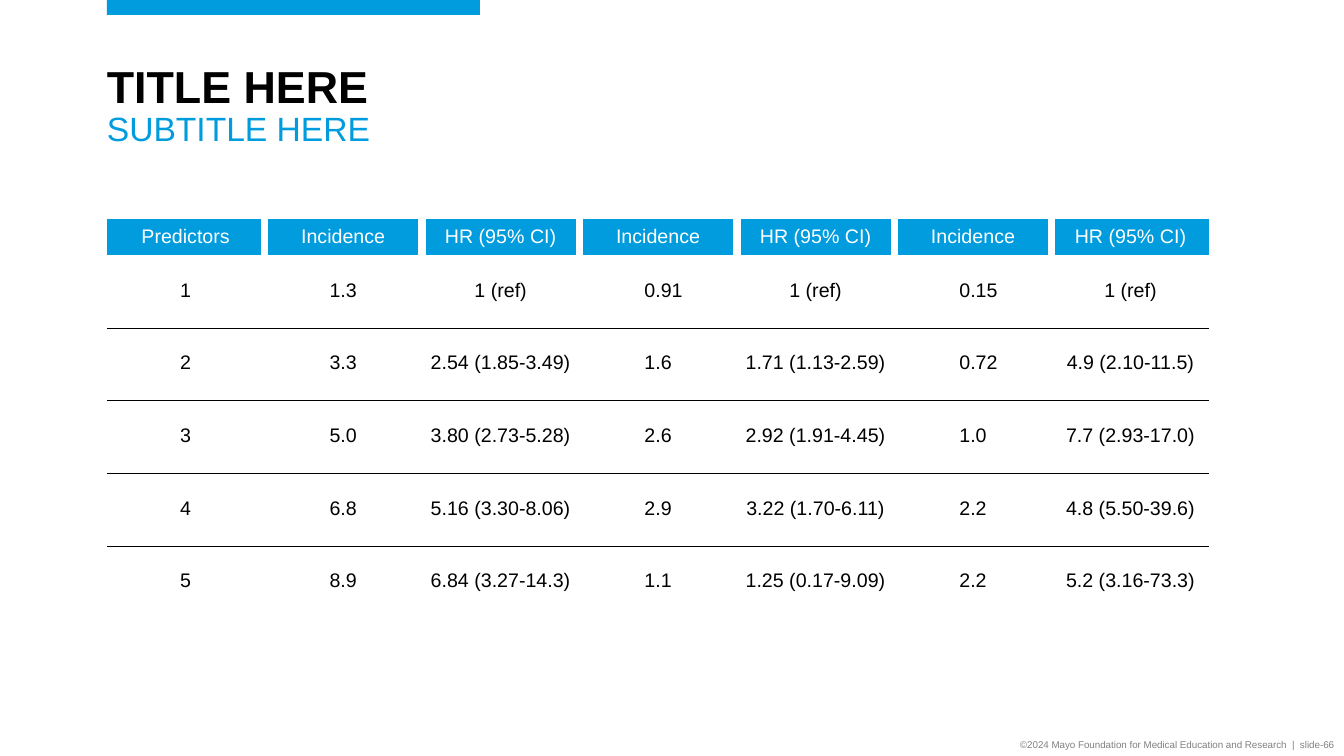
from lxml.etree import SubElement
from pptx import Presentation
from pptx.dml.color import RGBColor
from pptx.enum.shapes import MSO_SHAPE as Preset
from pptx.enum.text import MSO_ANCHOR as Anchor, PP_ALIGN as Align
from pptx.oxml.ns import qn
from pptx.util import Pt

BLUE = RGBColor(0x00, 0x9C, 0xDE)
BLACK = RGBColor(0x00, 0x00, 0x00)
WHITE = RGBColor(0xFF, 0xFF, 0xFF)
GRAY = RGBColor(0x80, 0x80, 0x80)

FONT = "Arial"
LEFT = 76.4
NO_STYLE = "{2D5ABB26-0587-4C30-8999-92F81FD0307C}"
HEADER_HEIGHT = 26.4
GUTTER = 6
RULE = 1
TWO_DIGIT_INDENT = 7.8

HEADINGS = ["Predictors"] + ["Incidence", "HR (95% CI)"] * 3
RESULTS = [
    ["1", "1.3", "1 (ref)", "0.91", "1 (ref)", "0.15", "1 (ref)"],
    ["2", "3.3", "2.54 (1.85-3.49)", "1.6", "1.71 (1.13-2.59)", "0.72", "4.9 (2.10-11.5)"],
    ["3", "5.0", "3.80 (2.73-5.28)", "2.6", "2.92 (1.91-4.45)", "1.0", "7.7 (2.93-17.0)"],
    ["4", "6.8", "5.16 (3.30-8.06)", "2.9", "3.22 (1.70-6.11)", "2.2", "4.8 (5.50-39.6)"],
    ["5", "8.9", "6.84 (3.27-14.3)", "1.1", "1.25 (0.17-9.09)", "2.2", "5.2 (3.16-73.3)"],
]


def add_run(paragraph, wording, size, color, bold=False):
    """Append one styled run to a paragraph."""
    run = paragraph.add_run()
    run.text = wording
    run.font.name = FONT
    run.font.size = Pt(size)
    run.font.bold = bold
    run.font.color.rgb = color


def set_margins(holder, left, top, right, bottom):
    """Set the inner margins of a text frame or cell in points."""
    holder.margin_left, holder.margin_top = Pt(left), Pt(top)
    holder.margin_right, holder.margin_bottom = Pt(right), Pt(bottom)


def add_text_frame(slide, left, top, width, height, side_margin):
    """Add a wrapping text box and return its frame."""
    frame = slide.shapes.add_textbox(Pt(left), Pt(top), Pt(width), Pt(height)).text_frame
    frame.word_wrap = True
    set_margins(frame, side_margin, 3.6, side_margin, 3.6)
    return frame


def add_accent_bar(slide, left, top, width, height):
    """Draw the blue bar at the top edge."""
    bar = slide.shapes.add_shape(Preset.RECTANGLE, Pt(left), Pt(top), Pt(width), Pt(height))
    bar.shadow.inherit = False
    bar.fill.solid()
    bar.fill.fore_color.rgb = BLUE
    bar.line.fill.background()


def add_heading(slide, left, top, width, height):
    """Write the title with the subtitle on the line below."""
    frame = add_text_frame(slide, left, top, width, height, 0)
    heading = frame.paragraphs[0]
    heading.line_spacing = 0.9
    add_run(heading, "TITLE HERE", 32, BLACK, bold=True)
    heading.add_line_break()
    add_run(heading, "SUBTITLE HERE", 24, BLUE)


def add_footer(slide, left, top, width, height):
    """Write the copyright line."""
    frame = add_text_frame(slide, left, top, width, height, 7.2)
    frame.vertical_anchor = Anchor.MIDDLE
    notice = frame.paragraphs[0]
    notice.alignment = Align.RIGHT
    wording = "©2024 Mayo Foundation for Medical Education and Research  |  slide-66"
    add_run(notice, wording, 7, GRAY)


def set_borders(cell, borders):
    """Add cell borders, given in the order left, right, top, bottom."""
    properties = cell._tc.get_or_add_tcPr()
    for side, (color, width) in borders.items():
        line = SubElement(properties, qn(f"a:ln{side}"), w=str(Pt(width)))
        fill = SubElement(line, qn("a:solidFill"))
        SubElement(fill, qn("a:srgbClr"), val=str(color))


def fill_cell(cell, wording, color):
    """Centre the wording in a table cell."""
    cell.vertical_anchor = Anchor.MIDDLE
    paragraph = cell.text_frame.paragraphs[0]
    paragraph.alignment = Align.CENTER
    paragraph.line_spacing = 0.8
    add_run(paragraph, wording, 14, color)


def add_header_cell(cell, heading, is_first, is_last):
    """Style one blue header cell with white gutters between columns."""
    set_margins(cell, 7.2, 2.2, 7.2, 0)
    fill_cell(cell, heading, WHITE)
    borders = {}
    if not is_first:
        borders["L"] = (WHITE, GUTTER)
    if not is_last:
        borders["R"] = (WHITE, GUTTER)
    borders["T"] = borders["B"] = (WHITE, RULE)
    set_borders(cell, borders)
    cell.fill.solid()
    cell.fill.fore_color.rgb = BLUE


def add_result_cell(cell, result, is_first, is_last):
    """Style one result cell with rules between the rows."""
    indent = TWO_DIGIT_INDENT if result.startswith("0.") else 0
    set_margins(cell, 5 + indent, 3.6, 5, 3.6)
    fill_cell(cell, result, BLACK)
    borders = {"T": (WHITE if is_first else BLACK, RULE)}
    if not is_last:
        borders["B"] = (BLACK, RULE)
    set_borders(cell, borders)
    cell.fill.background()


def add_results_table(slide, left, top, width, height):
    """Build the table of predictors, incidences and hazard ratios."""
    row_count, column_count = len(RESULTS) + 1, len(HEADINGS)
    frame = slide.shapes.add_table(
        row_count, column_count, Pt(left), Pt(top), Pt(width), Pt(height))
    table = frame.table
    table.first_row = table.horz_banding = False
    table._tbl.tblPr.find(qn("a:tableStyleId")).text = NO_STYLE
    for column in table.columns:
        column.width = Pt(width / column_count)
    for row in table.rows:
        row.height = Pt((height - HEADER_HEIGHT) / len(RESULTS))
    table.rows[0].height = Pt(HEADER_HEIGHT)

    for c, heading in enumerate(HEADINGS):
        add_header_cell(table.cell(0, c), heading, c == 0, c == column_count - 1)
    for r, results in enumerate(RESULTS, 1):
        for c, result in enumerate(results):
            add_result_cell(table.cell(r, c), result, r == 1, r == len(RESULTS))


def main():
    """Build the slide and save it."""
    deck = Presentation()
    deck.slide_width, deck.slide_height = Pt(960), Pt(540)
    slide = deck.slides.add_slide(deck.slide_layouts[6])
    add_footer(slide, 528, 524, 432, 16)
    add_accent_bar(slide, LEFT, 0, 266.4, 10.6)
    add_heading(slide, LEFT, 42.5, 787, 46)
    add_results_table(slide, LEFT, 156.2, 787.5, 285.9)
    deck.save("out.pptx")


if __name__ == "__main__":
    main()
